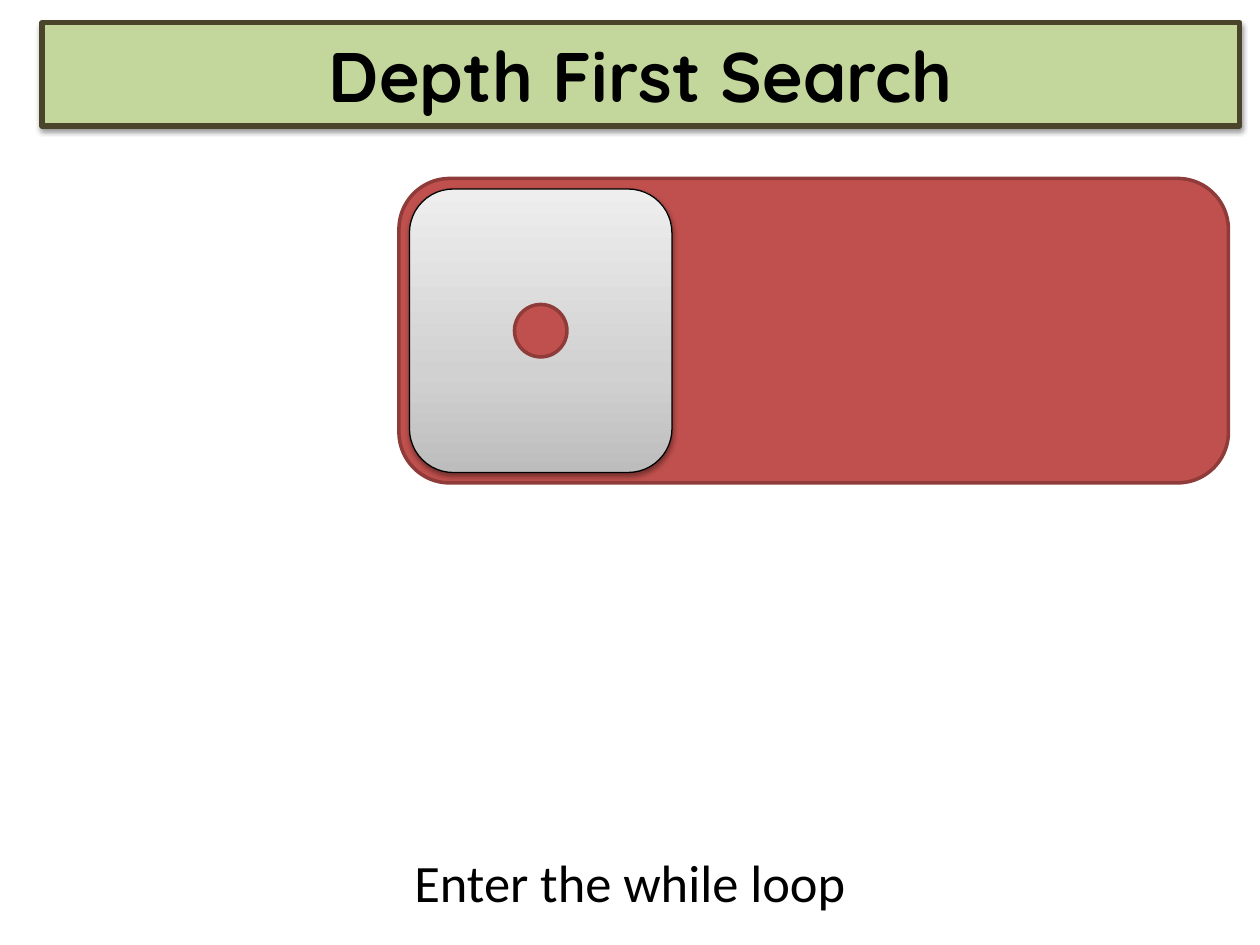
from copy import deepcopy
from lxml.etree import SubElement as Sub
from pptx import Presentation
from pptx.dml.color import RGBColor as Rgb
from pptx.enum.shapes import MSO_SHAPE as Kind
from pptx.enum.text import MSO_ANCHOR as Anchor, MSO_AUTO_SIZE as Auto, PP_ALIGN as Align
from pptx.oxml.ns import qn
from pptx.util import Pt

HUES = {
    "red": "C0504D", "rim": "8E3B39", "green": "C3D69B",
    "olive": "4A452A", "black": "000000",
    "low": "BDBDBD", "mid": "D1D1D1", "high": "EEEEEE",
}
TITLE = ("Depth First Search", "Quicksand", 40, True)
NOTE = ("Enter the while loop", "Calibri", 30, False)
FADE = [(0, "low"), (0.35, "mid"), (1, "high")]
WIDE, HIGH = 720, 540
STACK = (228, 102, 474, 174)
CARD = (234, 108, 150, 162)
BAR = (24, 13, 684.5, 59)
FOOT = (0, 482.4, WIDE, 44)
DOT = 30


def hue(name):
    return Rgb.from_string(HUES[name])


def add_form(slide, kind, box, fill, line, width):
    form = slide.shapes.add_shape(kind, *map(Pt, box))
    form.shadow.inherit = False
    if fill:
        form.fill.solid()
        form.fill.fore_color.rgb = hue(fill)
    form.line.color.rgb = hue(line)
    form.line.width = Pt(width)
    return form


def add_fade(form, stops):
    form.fill.gradient()
    form.fill.gradient_angle = 90
    grad = form._element.spPr.find(qn("a:gradFill")).find(qn("a:gsLst"))
    while len(grad) < len(stops):
        grad.append(deepcopy(grad[0]))
    for stop, (pos, name) in zip(form.fill.gradient_stops, stops):
        stop.position = pos
        stop.color.rgb = hue(name)


def add_shade(form):
    effects = form._element.spPr.find(qn("a:effectLst"))
    shade = Sub(effects, qn("a:outerShdw"), blurRad=str(Pt(3.1)),
                dist=str(Pt(1.6)), dir="5400000", rotWithShape="0")
    color = Sub(shade, qn("a:srgbClr"), val=HUES["black"])
    Sub(color, qn("a:alpha"), val="38000")


def add_text(form, text, font, size, bold):
    frame = form.text_frame
    frame.word_wrap = True
    para = frame.paragraphs[0]
    para.alignment = Align.CENTER
    run = para.add_run()
    run.text = text
    run.font.name = font
    run.font.size = Pt(size)
    run.font.bold = bold
    run.font.color.rgb = hue("black")
    return frame


def main():
    deck = Presentation()
    deck.slide_width, deck.slide_height = Pt(WIDE), Pt(HIGH)
    slide = deck.slides.add_slide(deck.slide_layouts[6])

    add_form(slide, Kind.ROUNDED_RECTANGLE, STACK, "red", "rim", 2)
    card = add_form(slide, Kind.ROUNDED_RECTANGLE, CARD, None, "black", 0.75)
    add_fade(card, FADE)
    add_shade(card)

    left, top, width, height = CARD
    spot = (left + (width - DOT) / 2, top + (height - DOT) / 2, DOT, DOT)
    add_form(slide, Kind.OVAL, spot, "red", "rim", 2)

    note = slide.shapes.add_textbox(*map(Pt, FOOT))
    add_text(note, *NOTE).auto_size = Auto.SHAPE_TO_FIT_TEXT

    bar = add_form(slide, Kind.RECTANGLE, BAR, "green", "olive", 3)
    add_shade(bar)
    add_text(bar, *TITLE).vertical_anchor = Anchor.MIDDLE

    deck.save("out.pptx")


if __name__ == "__main__":
    main()
